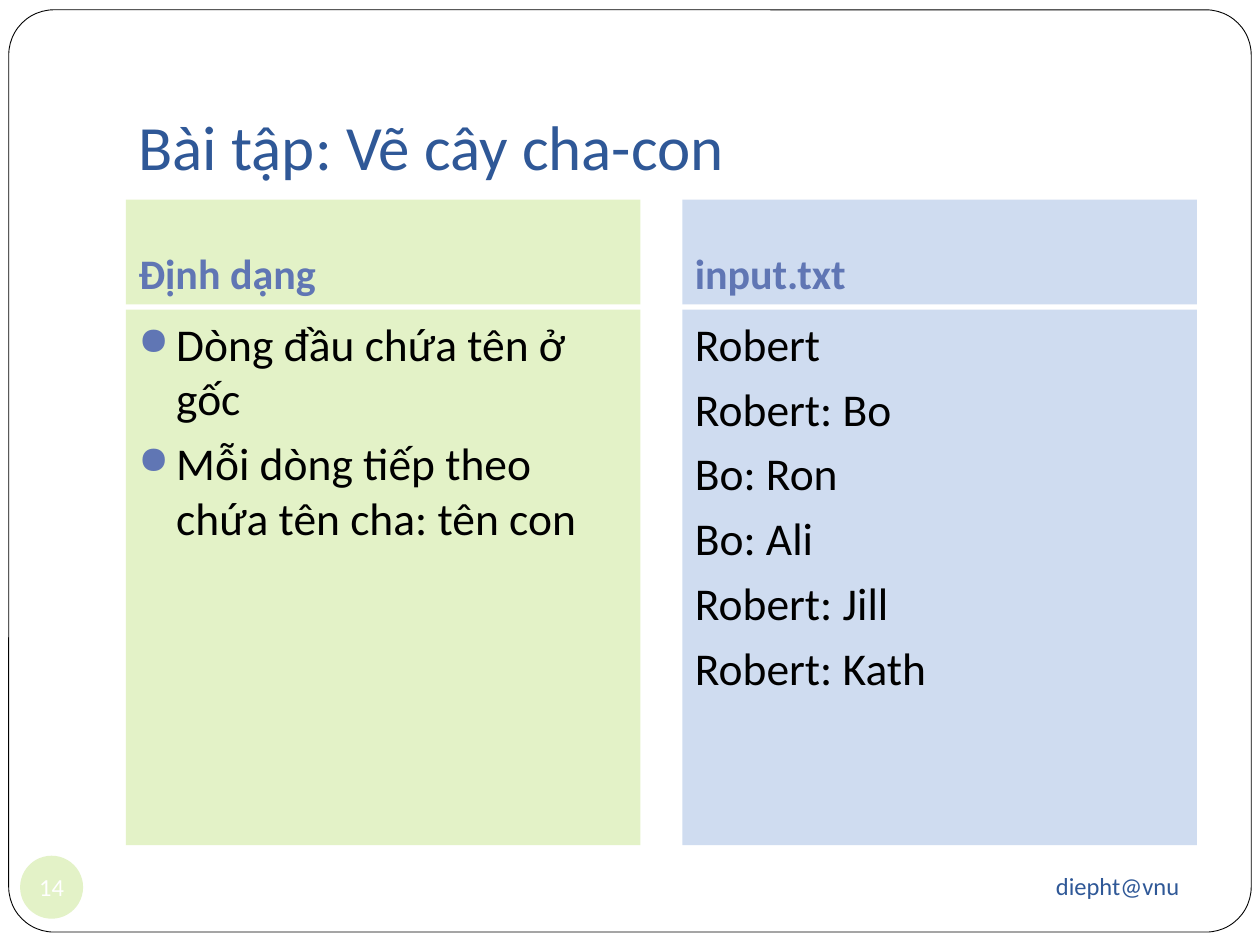
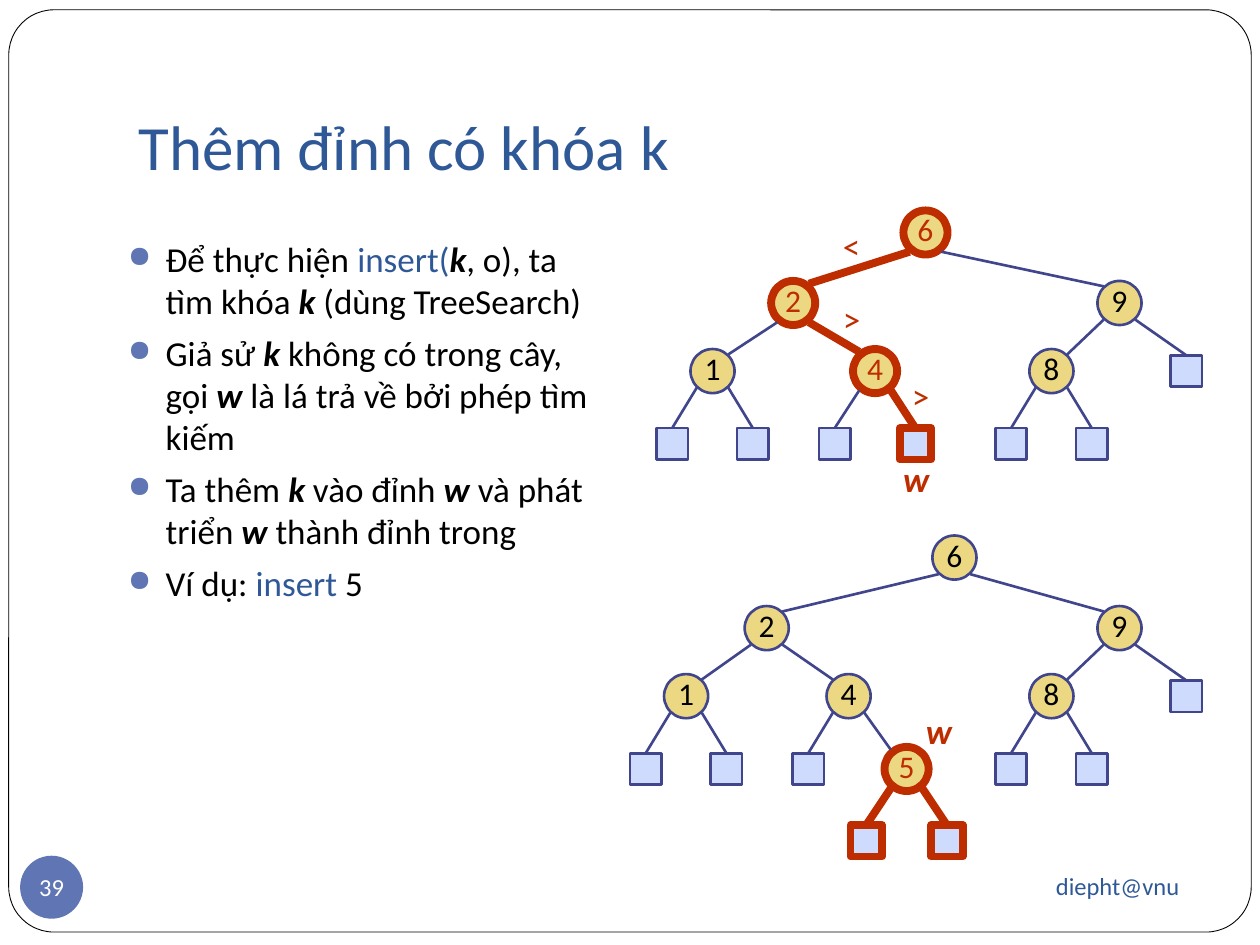
from pptx import Presentation
from pptx.dml.color import RGBColor
from pptx.enum.shapes import MSO_CONNECTOR, MSO_SHAPE
from pptx.enum.text import MSO_ANCHOR, PP_ALIGN
from pptx.oxml.ns import qn
from pptx.util import Pt
from lxml import etree

RECTANGLE, OVAL, ROUNDED = MSO_SHAPE.RECTANGLE, MSO_SHAPE.OVAL, MSO_SHAPE.ROUNDED_RECTANGLE
STRAIGHT = MSO_CONNECTOR.STRAIGHT
TOP, MIDDLE, BOTTOM = MSO_ANCHOR.TOP, MSO_ANCHOR.MIDDLE, MSO_ANCHOR.BOTTOM
LEFT, CENTER, RIGHT = PP_ALIGN.LEFT, PP_ALIGN.CENTER, PP_ALIGN.RIGHT

FONT = "Calibri"
BLACK = RGBColor(0x00, 0x00, 0x00)
WHITE = RGBColor(0xFF, 0xFF, 0xFF)
NAVY = RGBColor(0x2F, 0x58, 0x97)
ACCENT = RGBColor(0x60, 0x76, 0xB4)
PALE_GREEN = RGBColor(0xE3, 0xF2, 0xC7)
PALE_BLUE = RGBColor(0xCF, 0xDC, 0xF0)
NODE_FILL = RGBColor(0xEC, 0xD8, 0x82)
LEAF_FILL = RGBColor(0xCF, 0xDB, 0xFD)
TREE_LINE = RGBColor(0x40, 0x45, 0x8C)
MARK = RGBColor(0xBE, 0x2D, 0x00)

# ---- Content ----
FOOTER = "diepht@vnu"

FORMAT_TITLE, FORMAT_PAGE = "Bài tập: Vẽ cây cha-con", "14"
FORMAT_COLUMNS = [  # heading, fill, bulleted, lines
    ("Định dạng", PALE_GREEN, True,
     ["Dòng đầu chứa tên ở gốc", "Mỗi dòng tiếp theo chứa tên cha: tên con"]),
    ("input.txt", PALE_BLUE, False,
     ["Robert", "Robert: Bo", "Bo: Ron", "Bo: Ali", "Robert: Jill", "Robert: Kath"]),
]

INSERT_TITLE, INSERT_PAGE = "Thêm đỉnh có khóa k", "39"
K, W = ("k", "variable"), ("w", "variable")
INSERT_STEPS = [
    ["Để thực hiện ", ("insert(", "code"), K, ", o), ta tìm khóa ", K, " (dùng TreeSearch)"],
    ["Giả sử ", K, " không có trong cây, gọi ", W, " là lá trả về bởi phép tìm kiếm"],
    ["Ta thêm ", K, " vào đỉnh ", W, " và phát triển ", W, " thành đỉnh trong"],
    ["Ví dụ: ", ("insert", "code"), " 5"],
]


# Tree nodes: key ("" for a leaf), horizontal distance from the parent, marked, children
def leaf(distance, marked=False):
    return ("", distance, marked, [])


def leaf_pair(left_marked=False, right_marked=False):
    return [leaf(-23.04, left_marked), leaf(23.04, right_marked)]


def right_branch(distance):
    return ("9", distance, False, [("8", -38.9, False, leaf_pair()), leaf(38.16)])


TREE_BEFORE = ("6", 0, True, [
    ("2", -75.6, True, [
        ("1", -46.08, False, leaf_pair()),
        ("4", 46.8, True, leaf_pair(right_marked=True))]),
    right_branch(110.88)])
TREE_AFTER = ("6", 0, False, [
    ("2", -107.28, False, [
        ("1", -46.08, False, leaf_pair()),
        ("4", 46.8, False, [
            leaf(-23.04),
            ("5", 33.12, True, leaf_pair(True, True))])]),
    right_branch(94.32)])
TREES = [(TREE_BEFORE, 528.84, 132.84), (TREE_AFTER, 545.4, 318.6)]  # root centre
TREE_LABELS = [  # text, style, left, top, width
    ("<", "plain", 474.5, 124.6, 26),
    (">", "plain", 474.5, 166.3, 26),
    (">", "plain", 514, 210.2, 26),
    ("w", "variable", 509, 257.8, 30),
    ("w", "variable", 522, 401.8, 30),
]
LEVEL_DROPS = [0, 40.3, 79.2, 120.8, 161.9]
NODE_SIZE, LEAF_SIZE = 25.2, 18

STYLES = {
    "plain": {},
    "code": {"color": NAVY},
    "variable": {"bold": True, "italic": True},
}


# ---- Text and shape helpers ----
def add_bullet(paragraph):
    properties = paragraph._p.get_or_add_pPr()
    properties.set("marL", str(Pt(21.6)))
    properties.set("indent", str(-Pt(21.6)))
    color = etree.SubElement(properties, qn("a:buClr"))
    etree.SubElement(color, qn("a:srgbClr"), val=str(ACCENT))
    etree.SubElement(properties, qn("a:buSzPct"), val="85000")
    etree.SubElement(properties, qn("a:buChar"), char="●")


def write(shape, paragraphs, size, color, bold=False, align=LEFT, anchor=TOP,
          insets=(7.2, 3.6, 7.2, 3.6), wrap=True, bullets=False):
    """Each paragraph is a list of plain strings and (text, style) pairs."""
    frame = shape.text_frame
    frame.word_wrap = wrap
    frame.vertical_anchor = anchor
    frame.margin_left, frame.margin_top, frame.margin_right, frame.margin_bottom = map(Pt, insets)
    for index, parts in enumerate(paragraphs):
        paragraph = frame.add_paragraph() if index else frame.paragraphs[0]
        paragraph.alignment = align
        if index:
            paragraph.space_before = Pt(5.8)
        if bullets:
            add_bullet(paragraph)
        for part in parts:
            text, style_name = (part, "plain") if isinstance(part, str) else part
            style = STYLES[style_name]
            run = paragraph.add_run()
            run.text = text
            run.font.name = FONT
            run.font.size = Pt(size)
            run.font.bold = style.get("bold", bold)
            run.font.italic = style.get("italic", False)
            run.font.color.rgb = style.get("color", color)


def add_text(slide, left, top, width, height, paragraphs, size, color, **options):
    box = slide.shapes.add_textbox(Pt(left), Pt(top), Pt(width), Pt(height))
    write(box, paragraphs, size, color, **options)


def add_shape(slide, kind, left, top, width, height, fill, line=None, line_width=0.5):
    shape = slide.shapes.add_shape(kind, Pt(left), Pt(top), Pt(width), Pt(height))
    shape.shadow.inherit = False
    shape.fill.solid()
    shape.fill.fore_color.rgb = fill
    if line is None:
        shape.line.fill.background()
    else:
        shape.line.color.rgb = line
        shape.line.width = Pt(line_width)
    return shape


# ---- Frame, title, footer and page number shared by the slides ----
def add_slide(presentation, title, page, page_fill):
    slide = presentation.slides.add_slide(presentation.slide_layouts[6])
    frame = add_shape(slide, ROUNDED, 5, 5.6, 710, 527, WHITE, BLACK)
    frame.adjustments[0] = 0.049
    add_text(slide, 72, 21.6, 612, 90, [[title]], 36, NAVY,
             anchor=BOTTOM, insets=(7.2, 3.6, 7.2, 7.2))
    add_text(slide, 486, 487.5, 195, 37.5, [[FOOTER]], 14, NAVY, align=RIGHT, anchor=MIDDLE)
    badge = add_shape(slide, OVAL, 11.5, 489, 36, 36, page_fill)
    write(badge, [[page]], 14, WHITE, align=CENTER, anchor=MIDDLE,
          insets=(0, 0, 0, 0), wrap=False)
    return slide


# ---- Binary tree ----
def tree_stroke(marked):
    return (MARK, 4.5) if marked else (TREE_LINE, 1.5)


def edge_reach(marked):
    return 11 if marked else 9.5


def add_edge(slide, parent_x, parent_y, parent_marked, child_x, child_y, child, child_shape):
    key, distance, marked, _ = child
    side = 9 if distance > 0 else -9
    end_x = child_x - side if key else child_x
    edge = slide.shapes.add_connector(
        STRAIGHT, Pt(parent_x + side), Pt(parent_y + edge_reach(parent_marked)),
        Pt(end_x), Pt(child_y - edge_reach(marked)))
    if not key:
        edge.end_connect(child_shape, 0)
    color, width = tree_stroke(parent_marked and marked)
    edge.line.color.rgb = color
    edge.line.width = Pt(width)
    etree.SubElement(edge._element.spPr, qn("a:effectLst"))


def add_tree(slide, node, x, root_y, level=0):
    key, _, marked, children = node
    y = root_y + LEVEL_DROPS[level]
    kind, size, fill = (OVAL, NODE_SIZE, NODE_FILL) if key else (RECTANGLE, LEAF_SIZE, LEAF_FILL)
    shape = add_shape(slide, kind, x - size / 2, y - size / 2, size, size,
                      fill, *tree_stroke(marked))
    if key:
        write(shape, [[key]], 18, MARK if marked else BLACK, align=CENTER,
              anchor=MIDDLE, insets=(0, 0, 0, 3.6), wrap=False)
    for child in children:
        child_x = x + child[1]
        child_shape = add_tree(slide, child, child_x, root_y, level + 1)
        add_edge(slide, x, y, marked, child_x, root_y + LEVEL_DROPS[level + 1],
                 child, child_shape)
    return shape


# ---- Slides ----
def build_format_slide(presentation):
    slide = add_slide(presentation, FORMAT_TITLE, FORMAT_PAGE, PALE_GREEN)
    for index, (heading, fill, bulleted, lines) in enumerate(FORMAT_COLUMNS):
        left = 72 + index * 318
        head = add_shape(slide, RECTANGLE, left, 114, 294, 60, fill)
        write(head, [[heading]], 24, ACCENT, bold=True, anchor=BOTTOM)
        body = add_shape(slide, RECTANGLE, left, 177, 294, 306, fill)
        write(body, [[line] for line in lines], 26, BLACK, bullets=bulleted)


def build_insert_slide(presentation):
    slide = add_slide(presentation, INSERT_TITLE, INSERT_PAGE, ACCENT)
    add_text(slide, 66, 132, 288, 342, INSERT_STEPS, 20, BLACK, bullets=True)
    for tree, root_x, root_y in TREES:
        add_tree(slide, tree, root_x, root_y)
    for text, style, left, top, width in TREE_LABELS:
        add_text(slide, left, top, width, 31.7, [[(text, style)]], 20, MARK, wrap=False)


def main():
    presentation = Presentation()
    presentation.slide_width, presentation.slide_height = Pt(720), Pt(540)
    build_format_slide(presentation)
    build_insert_slide(presentation)
    presentation.save("out.pptx")


if __name__ == "__main__":
    main()
